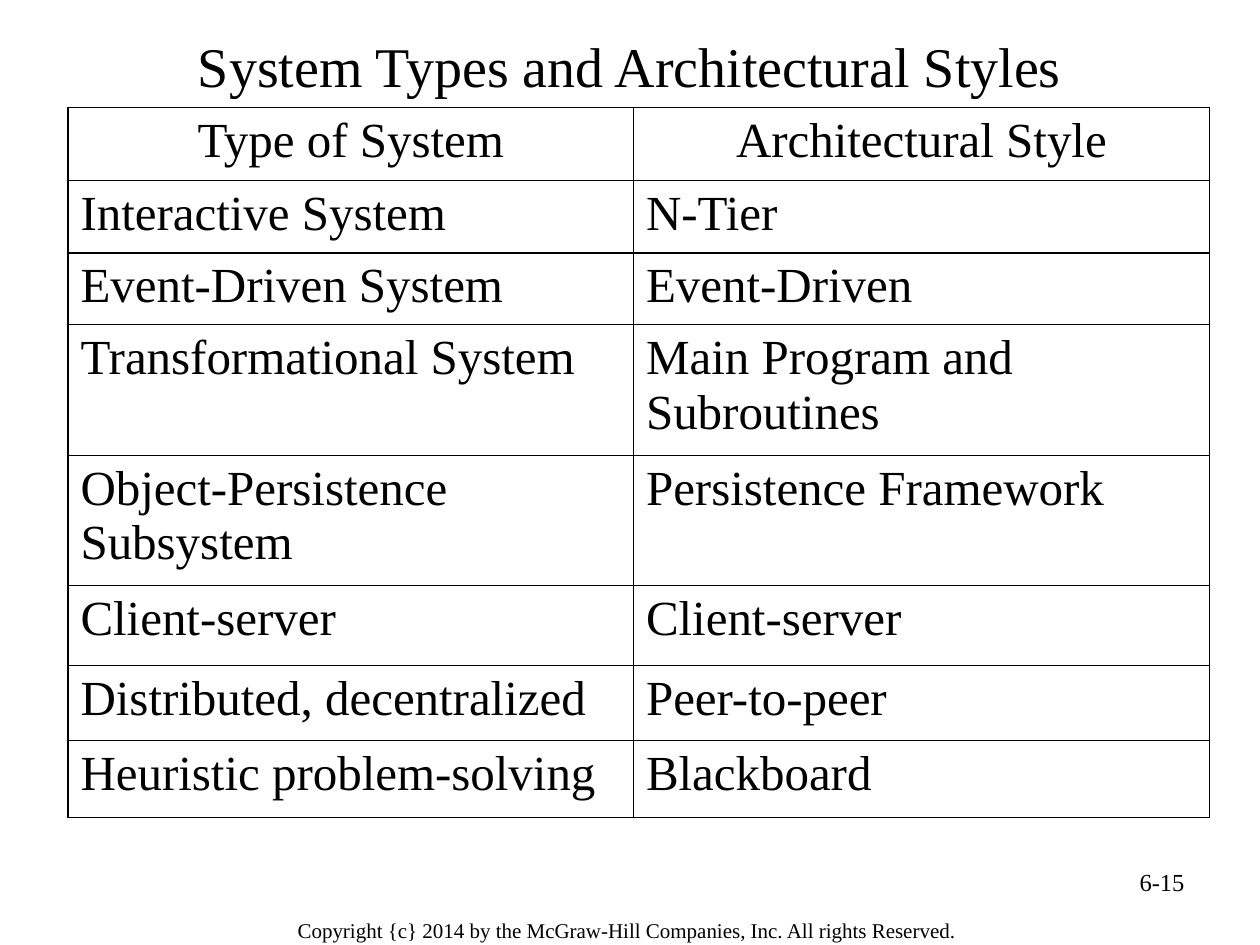
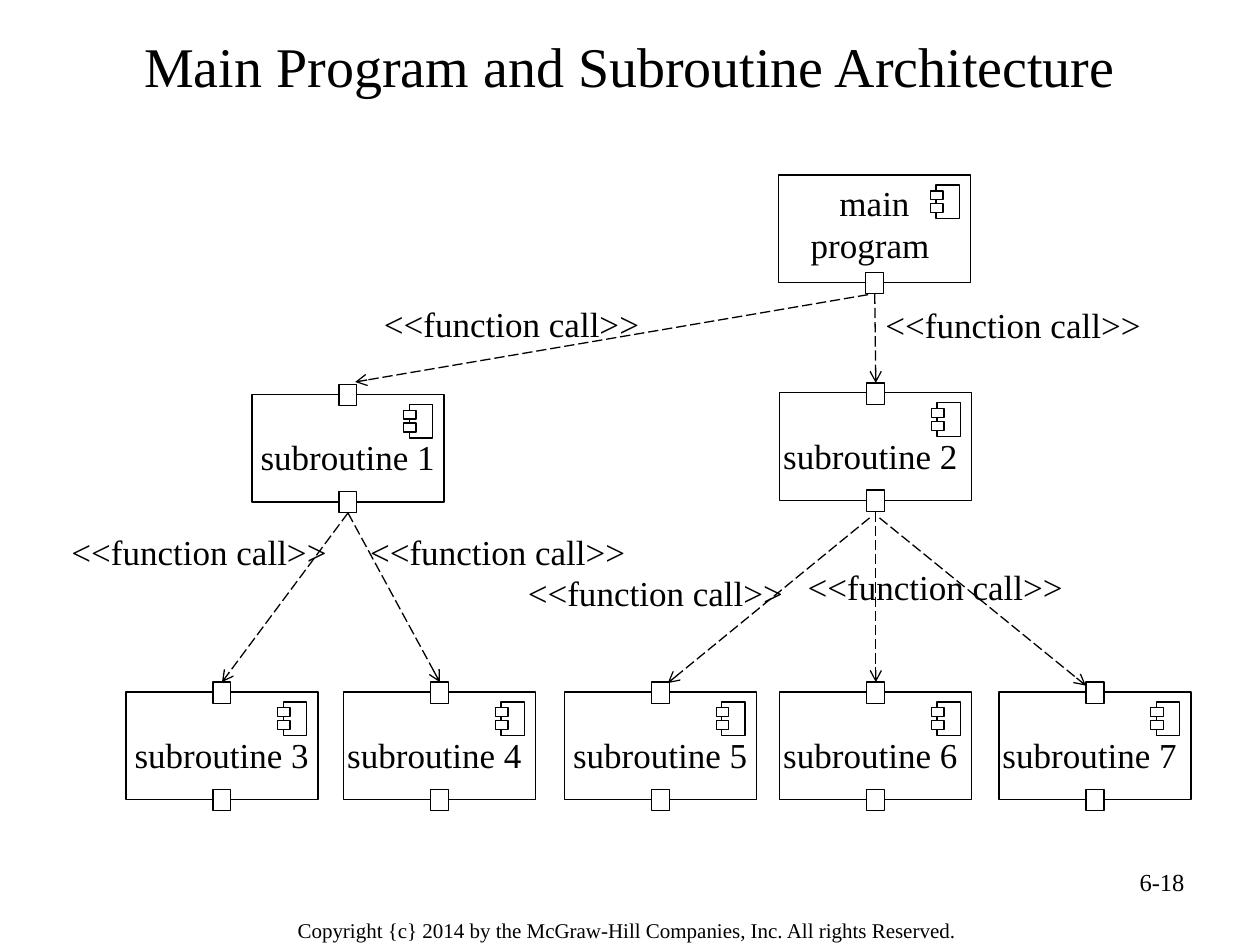
"""Build two slides on architectural styles: a style table and a call diagram."""
from dataclasses import dataclass

from lxml.etree import SubElement
from pptx import Presentation
from pptx.dml.color import RGBColor
from pptx.enum.dml import MSO_LINE
from pptx.enum.shapes import MSO_CONNECTOR, MSO_SHAPE
from pptx.enum.text import MSO_ANCHOR, MSO_AUTO_SIZE, PP_ALIGN
from pptx.oxml.ns import qn
from pptx.util import Cm, Pt


@dataclass(frozen=True)
class Theme:
    font: str = "Times New Roman"
    ink: RGBColor = RGBColor(0, 0, 0)
    paper: RGBColor = RGBColor(255, 255, 255)
    title: int = 32
    table: int = 28
    diagram: int = 20
    page: int = 14
    copyright: int = 12
    line: float = 0.75


@dataclass(frozen=True)
class Box:
    x: float
    y: float
    w: float
    h: float

    def lengths(self) -> tuple:
        return Cm(self.x), Cm(self.y), Cm(self.w), Cm(self.h)


@dataclass(frozen=True)
class TableBlock:
    top: float
    heights: tuple
    rows: tuple
    header: bool = False


@dataclass(frozen=True)
class Component:
    name: str
    x: float
    y: float
    align: PP_ALIGN = PP_ALIGN.CENTER
    text_drop: float = 0.71
    called: bool = True


@dataclass(frozen=True)
class Call:
    caller: str
    callee: str
    loose_ends: tuple = ()


T = Theme()
COPYRIGHT = "Copyright {c} 2014 by the McGraw-Hill Companies, Inc. All rights Reserved."
TITLE_BOX = Box(1.27, 0.36, 22.86, 1.91)
PAGE_BOX = Box(18.21, 17.35, 5.92, 1.32)
COPYRIGHT_BOX = Box(4.78, 18.34, 15.72, 0.79)

TABLE_LEFT = 1.37
COLUMNS = (11.4, 11.61)
STYLE_TABLES = (
    TableBlock(2.16, (1.47, 1.47, 1.45, 2.62, 2.62), (
        ("Type of System", "Architectural Style"),
        ("Interactive System", "N-Tier"),
        ("Event-Driven System", "Event-Driven"),
        ("Transformational System", "Main Program and Subroutines"),
        ("Object-Persistence Subsystem", "Persistence Framework"),
    ), header=True),
    TableBlock(11.81, (1.6, 1.52, 1.55), (
        ("Client-server", "Client-server"),
        ("Distributed, decentralized", "Peer-to-peer"),
        ("Heuristic problem-solving", "Blackboard"),
    )),
)

BODY_W, BODY_H = 3.87, 2.17
PORT_W, PORT_H = 0.36, 0.43
LEAF_Y = 13.95
MAIN = "main program "
COMPONENTS = (
    Component(MAIN, 15.7, 3.53, text_drop=0, called=False),
    Component("subroutine 1", 5.08, 7.95),
    Component("subroutine 2", 15.72, 7.92, PP_ALIGN.LEFT),
    Component("subroutine 3", 2.54, LEAF_Y),
    Component("subroutine 4", 6.93, LEAF_Y, PP_ALIGN.LEFT),
    Component("subroutine 5", 11.38, LEAF_Y),
    Component("subroutine 6", 15.72, LEAF_Y, PP_ALIGN.LEFT),
    Component("subroutine 7", 20.14, LEAF_Y, PP_ALIGN.LEFT),
)
CALLS = (
    Call(MAIN, "subroutine 1", (17.5, 5.94, 7.16, 7.7)),
    Call(MAIN, "subroutine 2"),
    Call("subroutine 1", "subroutine 3"),
    Call("subroutine 1", "subroutine 4"),
    Call("subroutine 2", "subroutine 5", (17.53, 10.44, 13.46, 13.77)),
    Call("subroutine 2", "subroutine 6"),
    Call("subroutine 2", "subroutine 7", (17.73, 10.44, 21.89, 13.82)),
)
CALL_LABEL = "<<function call>>"
CALL_LABELS = ((7.49, 5.97), (17.6, 5.99), (1.19, 10.57),
               (7.21, 10.57), (10.39, 11.4), (16.03, 11.28))


def write(tf, text: str, size: int, align: PP_ALIGN) -> None:
    tf.text = text
    p = tf.paragraphs[0]
    p.alignment = align
    p.font.name, p.font.size = T.font, Pt(size)
    p.font.color.rgb = T.ink


def add_text(shapes, box: Box, text: str, size: int, align: PP_ALIGN = PP_ALIGN.CENTER):
    tf = shapes.add_textbox(*box.lengths()).text_frame
    tf.word_wrap = True
    write(tf, text, size, align)
    return tf


def add_rect(shapes, box: Box, filled: bool = True):
    sp = shapes.add_shape(MSO_SHAPE.RECTANGLE, *box.lengths())
    sp.shadow.inherit = False
    if filled:
        sp.fill.solid()
        sp.fill.fore_color.rgb = T.paper
    else:
        sp.fill.background()
    sp.line.color.rgb, sp.line.width = T.ink, Pt(T.line)
    return sp


def add_slide(prs, title: str, page: str):
    s = prs.slides.add_slide(prs.slide_layouts[5])
    sp = s.shapes.title
    sp.left, sp.top, sp.width, sp.height = TITLE_BOX.lengths()
    tf = sp.text_frame
    tf.auto_size, tf.vertical_anchor = MSO_AUTO_SIZE.NONE, MSO_ANCHOR.MIDDLE
    write(tf, title, T.title, PP_ALIGN.CENTER)
    tf = add_text(s.shapes, COPYRIGHT_BOX, COPYRIGHT, T.copyright)
    tf.margin_left = tf.margin_right = Cm(0.28)
    tf.margin_top = tf.margin_bottom = Cm(0.15)
    add_text(s.shapes, PAGE_BOX, page, T.page, PP_ALIGN.RIGHT)
    return s


def set_borders(cell) -> None:
    tc_pr = cell._tc.get_or_add_tcPr()
    for i, side in enumerate(("lnL", "lnR", "lnT", "lnB")):
        ln = tc_pr.makeelement(qn(f"a:{side}"), {"w": str(Pt(T.line))})
        fill = SubElement(ln, qn("a:solidFill"))
        SubElement(fill, qn("a:srgbClr"), val=str(T.ink))
        tc_pr.insert(i, ln)


def add_style_table(s, block: TableBlock) -> None:
    box = Box(TABLE_LEFT, block.top, sum(COLUMNS), sum(block.heights))
    table = s.shapes.add_table(len(block.rows), len(COLUMNS), *box.lengths()).table
    table.first_row = table.horz_banding = False
    for column, width in zip(table.columns, COLUMNS):
        column.width = Cm(width)
    for r, (height, texts) in enumerate(zip(block.heights, block.rows)):
        table.rows[r].height = Cm(height)
        align = PP_ALIGN.CENTER if block.header and r == 0 else PP_ALIGN.LEFT
        for c, text in enumerate(texts):
            cell = table.cell(r, c)
            cell.fill.background()
            set_borders(cell)
            write(cell.text_frame, text, T.table, align)


def add_component(s, part: Component) -> tuple:
    """Draw one component and return its top and bottom ports."""
    shapes = s.shapes.add_group_shape().shapes
    x, y = part.x, part.y
    add_text(shapes, Box(x - 0.18, y + part.text_drop, 4.22, 1.37),
             part.name, T.diagram, part.align)
    add_rect(shapes, Box(x, y, BODY_W, BODY_H), filled=False)
    add_rect(shapes, Box(x + 3.17, y + 0.2, 0.47, 0.68), filled=False)
    for drop in (0.32, 0.58):
        add_rect(shapes, Box(x + 3.06, y + drop, 0.25, 0.18))
    port_x = x + (BODY_W - PORT_W) / 2
    top = add_rect(shapes, Box(port_x, y - 0.2, PORT_W, PORT_H)) if part.called else None
    bottom = add_rect(shapes, Box(port_x, y + 1.96, PORT_W, PORT_H))
    return top, bottom


def add_call(s, call: Call, ports: dict) -> None:
    ends = [Cm(v) for v in call.loose_ends or (0, 0, 0, 0)]
    line = s.shapes.add_connector(MSO_CONNECTOR.STRAIGHT, *ends)
    if not call.loose_ends:
        line.begin_connect(ports[call.caller][1], 2)
        line.end_connect(ports[call.callee][0], 0)
    line.line.color.rgb, line.line.width = T.ink, Pt(T.line)
    line.line.dash_style = MSO_LINE.LONG_DASH
    SubElement(line.line._get_or_add_ln(), qn("a:tailEnd"), type="arrow")
    SubElement(line._element.spPr, qn("a:effectLst"))


def build_style_slide(prs) -> None:
    s = add_slide(prs, "System Types and Architectural Styles", "6-15")
    for block in STYLE_TABLES:
        add_style_table(s, block)


def build_call_slide(prs) -> None:
    s = add_slide(prs, "Main Program and Subroutine Architecture", "6-18")
    ports = {part.name: add_component(s, part) for part in COMPONENTS}
    for call in CALLS:
        add_call(s, call, ports)
    for x, y in CALL_LABELS:
        add_text(s.shapes, Box(x, y, 5.65, 1.52), CALL_LABEL, T.diagram)


def main() -> None:
    prs = Presentation()
    prs.slide_width, prs.slide_height = Cm(25.4), Cm(19.05)
    build_style_slide(prs)
    build_call_slide(prs)
    prs.save("out.pptx")


if __name__ == "__main__":
    main()
